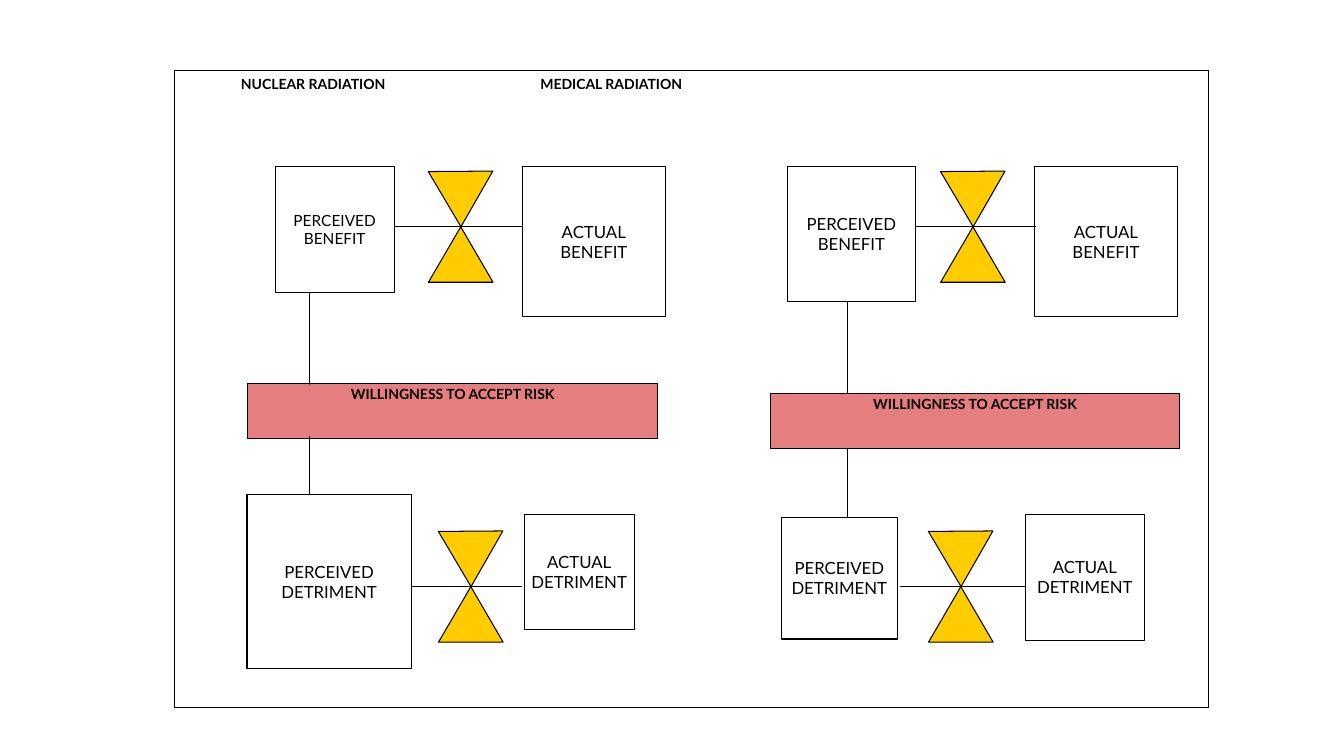
from dataclasses import dataclass

from lxml import etree
from pptx import Presentation
from pptx.dml.color import RGBColor
from pptx.enum.shapes import MSO_CONNECTOR, MSO_SHAPE
from pptx.enum.text import MSO_ANCHOR, PP_ALIGN
from pptx.oxml.ns import qn
from pptx.shapes.autoshape import Shape
from pptx.slide import Slide
from pptx.util import Inches, Pt

RECTANGLE, TRIANGLE = MSO_SHAPE.RECTANGLE, MSO_SHAPE.ISOSCELES_TRIANGLE
STRAIGHT = MSO_CONNECTOR.STRAIGHT
TOP, MIDDLE = MSO_ANCHOR.TOP, MSO_ANCHOR.MIDDLE
LEFT, CENTER = PP_ALIGN.LEFT, PP_ALIGN.CENTER

COLORS = {"ink": "000000", "panel": "FFFFFF", "risk": "CC0000", "balance": "FFCC00"}
FONT = "Lato"
OUTLINE = Pt(0.75)
HALF_OPAQUE = "50000"
BALANCE_WIDTH, BALANCE_HEIGHT = 0.64, 0.55
BALANCE_TILT = 179.6


@dataclass(frozen=True)
class Box:
    text: str
    left: float
    top: float
    width: float
    height: float
    size: float = 12


@dataclass(frozen=True)
class Link:
    x1: float
    y1: float
    x2: float
    y2: float


@dataclass(frozen=True)
class Balance:
    left: float
    pivot: float


FRAME = Box("", 1.73, 0.7, 10.26, 6.32)

HEADINGS = [
    Box("NUCLEAR RADIATION", 2.39, 0.75, 2, 0.2, 10),
    Box("MEDICAL RADIATION", 5.36, 0.75, 2, 0.2, 10),
]

FACTORS = [
    Box("PERCEIVED\nBENEFIT", 2.73, 1.65, 1.18, 1.25, 11),
    Box("ACTUAL\nBENEFIT", 5.18, 1.65, 1.42, 1.49),
    Box("PERCEIVED\nDETRIMENT", 2.45, 4.91, 1.63, 1.72),
    Box("ACTUAL\nDETRIMENT", 5.2, 5.1, 1.09, 1.15),
    Box("PERCEIVED\nBENEFIT", 7.81, 1.65, 1.27, 1.34),
    Box("ACTUAL\nBENEFIT", 10.26, 1.65, 1.42, 1.49),
    Box("PERCEIVED\nDETRIMENT", 7.75, 5.13, 1.15, 1.21),
    Box("ACTUAL\nDETRIMENT", 10.17, 5.1, 1.18, 1.25),
]

RISK_BARS = [
    Box("WILLINGNESS TO ACCEPT RISK", left, top, 4.06, 0.55, 10)
    for left, top in ((2.46, 3.8), (7.64, 3.9))
]

LINKS = [
    Link(3.07, 2.9, 3.07, 3.82),
    Link(3.07, 4.33, 3.07, 4.91),
    Link(8.41, 2.99, 8.41, 3.91),
    Link(8.41, 4.45, 8.41, 5.14),
    Link(3.92, 2.25, 5.18, 2.25),
    Link(4.09, 5.82, 5.18, 5.82),
    Link(9.08, 2.25, 10.28, 2.25),
    Link(8.93, 5.82, 10.17, 5.82),
]

BALANCES = [
    Balance(4.25, 2.25),
    Balance(4.35, 5.82),
    Balance(9.33, 2.25),
    Balance(9.21, 5.82),
]


def rgb(name: str) -> RGBColor:
    return RGBColor.from_string(COLORS[name])


def add_outlined(slide: Slide, kind: MSO_SHAPE, left: float, top: float,
                 width: float, height: float, fill: str) -> Shape:
    shape = slide.shapes.add_shape(
        kind, Inches(left), Inches(top), Inches(width), Inches(height))
    shape.shadow.inherit = False
    shape.fill.solid()
    shape.fill.fore_color.rgb = rgb(fill)
    shape.line.color.rgb = rgb("ink")
    shape.line.width = OUTLINE
    return shape


def add_panel(slide: Slide, box: Box, fill: str) -> Shape:
    """Add a half-transparent rectangle without text."""
    shape = add_outlined(slide, RECTANGLE, box.left, box.top,
                         box.width, box.height, fill)
    fill_color = shape.fill._xPr.find(qn("a:solidFill"))[0]
    etree.SubElement(fill_color, qn("a:alpha"), val=HALF_OPAQUE)
    return shape


def write_label(shape: Shape, box: Box, anchor: MSO_ANCHOR, align: PP_ALIGN,
                bold: bool, top_inset: float = 0) -> None:
    frame = shape.text_frame
    frame.word_wrap = True
    frame.vertical_anchor = anchor
    frame.margin_left = frame.margin_right = frame.margin_bottom = 0
    frame.margin_top = Inches(top_inset)
    frame.text = box.text
    for paragraph in frame.paragraphs:
        paragraph.alignment = align
        paragraph.font.name = FONT
        paragraph.font.size = Pt(box.size)
        paragraph.font.bold = bold
        paragraph.font.color.rgb = rgb("ink")


def add_heading(slide: Slide, heading: Box) -> None:
    shape = slide.shapes.add_textbox(
        Inches(heading.left), Inches(heading.top),
        Inches(heading.width), Inches(heading.height))
    write_label(shape, heading, TOP, LEFT, True)


def add_link(slide: Slide, link: Link) -> None:
    connector = slide.shapes.add_connector(
        STRAIGHT, Inches(link.x1), Inches(link.y1), Inches(link.x2), Inches(link.y2))
    connector.line.color.rgb = rgb("ink")
    connector.line.width = OUTLINE
    etree.SubElement(connector._element.spPr, qn("a:effectLst"))


def add_balance(slide: Slide, balance: Balance) -> None:
    """Add two triangles that meet tip to tip at the pivot."""
    for top, rotation in ((balance.pivot, 0),
                          (balance.pivot - BALANCE_HEIGHT, BALANCE_TILT)):
        triangle = add_outlined(slide, TRIANGLE, balance.left, top,
                                BALANCE_WIDTH, BALANCE_HEIGHT, "balance")
        triangle.rotation = rotation


def main() -> None:
    deck = Presentation()
    deck.slide_width, deck.slide_height = Inches(13.33), Inches(7.5)
    slide = deck.slides.add_slide(deck.slide_layouts[6])
    add_panel(slide, FRAME, "panel")
    for heading in HEADINGS:
        add_heading(slide, heading)
    for factor in FACTORS:
        write_label(add_panel(slide, factor, "panel"), factor, MIDDLE, CENTER, False)
    for bar in RISK_BARS:
        write_label(add_panel(slide, bar, "risk"), bar, TOP, CENTER, True, 0.02)
    for link in LINKS:
        add_link(slide, link)
    for balance in BALANCES:
        add_balance(slide, balance)
    deck.save("out.pptx")


if __name__ == "__main__":
    main()
